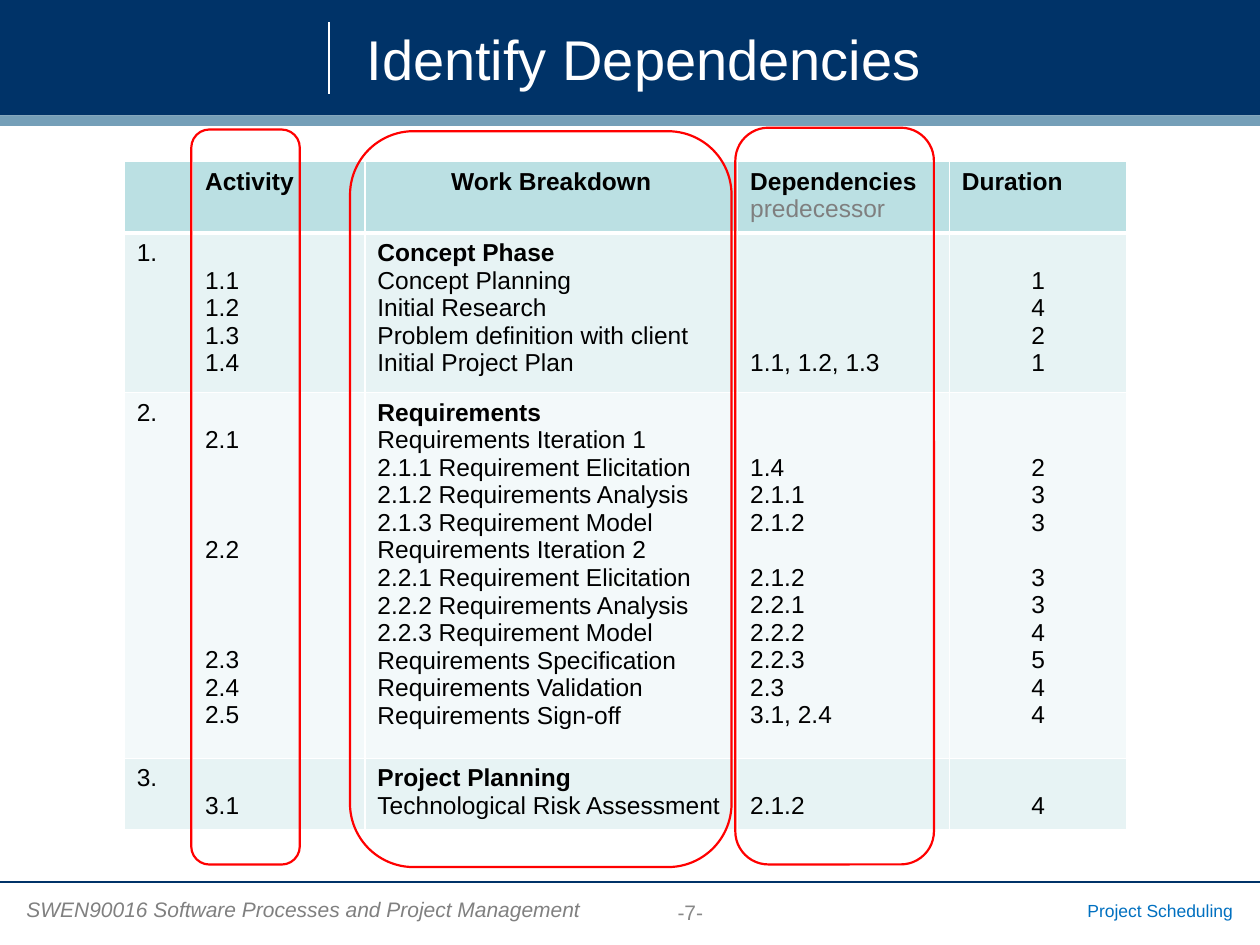
import pptx
import pptx.util
import pptx.dml.color
import pptx.enum.shapes
import pptx.enum.text
import pptx.oxml
import pptx.oxml.ns

Pt = pptx.util.Pt
ALIGN = pptx.enum.text.PP_ALIGN
ANCHOR = pptx.enum.text.MSO_ANCHOR
SHAPE = pptx.enum.shapes.MSO_SHAPE

NAVY, STEEL, WHITE, BLACK = "003368", "759FB8", "FFFFFF", "000000"
GREY, LINK_BLUE, RED = "808080", "0070C0", "FF0000"
LINE_HEIGHT = 15.7
INSET = 3.6


def color(value):
    return pptx.dml.color.RGBColor.from_string(value)


class SlideBuilder:
    """Holds the text style and the current slide."""

    def __init__(self, page, font="Arial"):
        self.page = page
        self.font = font

    def span(self, para, text, size, tint, bold=False, italic=False):
        span = para.add_run()
        span.text = text
        span.font.name = self.font
        span.font.size = Pt(size)
        span.font.bold = bold
        span.font.italic = italic
        span.font.color.rgb = color(tint)

    def text(self, place, text, size, tint, align=ALIGN.LEFT,
             anchor=ANCHOR.TOP, italic=False, left_inset=7.2):
        box = self.page.shapes.add_textbox(*map(Pt, place))
        frame = box.text_frame
        frame.word_wrap = True
        frame.vertical_anchor = anchor
        frame.margin_left = Pt(left_inset)
        para = frame.paragraphs[0]
        para.alignment = align
        self.span(para, text, size, tint, italic=italic)

    def shape(self, kind, place, fill=None, line=None, width=1.25):
        shape = self.page.shapes.add_shape(kind, *map(Pt, place))
        shape.shadow.inherit = False
        if fill:
            shape.fill.solid()
            shape.fill.fore_color.rgb = color(fill)
        else:
            shape.fill.background()
        if line:
            shape.line.color.rgb = color(line)
            shape.line.width = Pt(width)
        else:
            shape.line.fill.background()

    def line(self, ends, tint, width=0.75):
        line = self.page.shapes.add_connector(
            pptx.enum.shapes.MSO_CONNECTOR.STRAIGHT, *map(Pt, ends))
        line.line.color.rgb = color(tint)
        line.line.width = Pt(width)
        line._element.spPr.append(pptx.oxml.parse_xml(
            f'<a:effectLst {pptx.oxml.ns.nsdecls("a")}/>'))

    def borders(self, cell, widths):
        properties = cell._tc.get_or_add_tcPr()
        for side, width in zip("LRTB", widths):
            properties.append(pptx.oxml.parse_xml(
                f'<a:ln{side} {pptx.oxml.ns.nsdecls("a")} w="{int(Pt(width))}">'
                f'<a:solidFill><a:srgbClr val="{WHITE}"/></a:solidFill>'
                f'</a:ln{side}>'))

    def cell(self, cell, lines, align, bold_first, second_tint=BLACK):
        """Write lines by line number; skipped numbers become spacing."""
        frame = cell.text_frame
        expected = 0
        for number, text in lines.items():
            gap = (number - expected) * LINE_HEIGHT
            if expected == 0:
                para = frame.paragraphs[0]
                cell.margin_top = Pt(INSET + gap)
            else:
                para = frame.add_paragraph()
                para.space_before = Pt(gap)
            para.alignment = align
            self.span(para, text, 14, second_tint if number == 1 else BLACK,
                      bold=bold_first and number == 0)
            expected = number + 1

    def table(self, left, top, widths, rows, fills):
        counts = [max(max(lines, default=0) for lines in row) + 1 for row in rows]
        heights = [count * LINE_HEIGHT + 2 * INSET for count in counts]
        frame = self.page.shapes.add_table(
            len(rows), len(widths), Pt(left), Pt(top),
            Pt(sum(widths)), Pt(sum(heights)))
        table = frame.table
        table.first_row = table.horz_banding = False
        for column, width in zip(table.columns, widths):
            column.width = Pt(width)
        for r, (row, height, fill) in enumerate(zip(rows, heights, fills)):
            table.rows[r].height = Pt(height)
            for c, lines in enumerate(row):
                cell = table.cell(r, c)
                self.borders(cell, (1, 1, 3 if r == 1 else 1, 3 if r == 0 else 1))
                cell.fill.solid()
                cell.fill.fore_color.rgb = color(fill)
                centred = (r == 0 and c == 2) or (r > 0 and c == 4)
                self.cell(cell, lines, ALIGN.CENTER if centred else ALIGN.LEFT,
                          bold_first=r == 0 or c == 2,
                          second_tint="7F7F7F" if r == 0 else BLACK)


def numbered(*texts, start=0):
    return {start + i: text for i, text in enumerate(texts) if text}


HEADER = [{}, numbered("Activity"), numbered("Work Breakdown"),
          numbered("Dependencies", "predecessor"), numbered("Duration")]
CONCEPT = [
    numbered("1."),
    numbered("1.1", "1.2", "1.3", "1.4", start=1),
    numbered("Concept Phase", "Concept Planning", "Initial Research",
             "Problem definition with client", "Initial Project Plan"),
    numbered("1.1, 1.2, 1.3", start=4),
    numbered("1", "4", "2", "1", start=1),
]
REQUIREMENTS = [
    numbered("2."),
    {1: "2.1", 5: "2.2", 9: "2.3", 10: "2.4", 11: "2.5"},
    numbered("Requirements", "Requirements Iteration 1",
             "2.1.1 Requirement Elicitation", "2.1.2 Requirements Analysis",
             "2.1.3 Requirement Model", "Requirements Iteration 2",
             "2.2.1 Requirement Elicitation", "2.2.2 Requirements Analysis",
             "2.2.3 Requirement Model", "Requirements Specification",
             "Requirements Validation", "Requirements Sign-off"),
    numbered("1.4", "2.1.1", "2.1.2", "", "2.1.2", "2.2.1", "2.2.2",
             "2.2.3", "2.3", "3.1, 2.4", start=2),
    numbered("2", "3", "3", "", "3", "3", "4", "5", "4", "4", start=2),
]
PLANNING = [
    numbered("3."),
    numbered("3.1", start=1),
    numbered("Project Planning", "Technological Risk Assessment"),
    numbered("2.1.2", start=1),
    numbered("4", start=1),
]


def main():
    deck = pptx.Presentation()
    deck.slide_width, deck.slide_height = Pt(720), Pt(540)
    slide = SlideBuilder(deck.slides.add_slide(deck.slide_layouts[6]))

    # Title band
    slide.shape(SHAPE.RECTANGLE, (0, 0, 720, 66), fill=NAVY)
    slide.shape(SHAPE.RECTANGLE, (0, 66, 720, 6), fill=STEEL)
    slide.line((188, 12.5, 188, 53.5), WHITE)
    slide.text((193.5, 6, 520, 54), "Identify Dependencies", 32, WHITE,
               anchor=ANCHOR.MIDDLE, left_inset=16)

    # Footer
    slide.line((0, 504, 720, 504), NAVY)
    slide.text((8, 509, 334, 22),
               "SWEN90016 Software Processes and Project Management",
               12, GREY, italic=True)
    slide.text((286, 509, 217, 24.5), "-7-", 12, "888888",
               align=ALIGN.CENTER, anchor=ANCHOR.MIDDLE)
    slide.text((563, 510.5, 148.5, 19.5), "Project Scheduling", 10, LINK_BLUE,
               align=ALIGN.RIGHT)

    # Schedule table
    slide.table(71, 92.3, (39, 98.5, 213, 121, 101.5),
                (HEADER, CONCEPT, REQUIREMENTS, PLANNING),
                ("BBE0E3", "E7F3F4", "F3F9FA", "E7F3F4"))

    # Highlighted columns
    for place in ((109.3, 74, 62, 420), (200, 75, 218, 420.5),
                  (420.2, 73, 113.5, 421)):
        slide.shape(SHAPE.ROUNDED_RECTANGLE, place, line=RED)

    deck.save("out.pptx")


if __name__ == "__main__":
    main()
